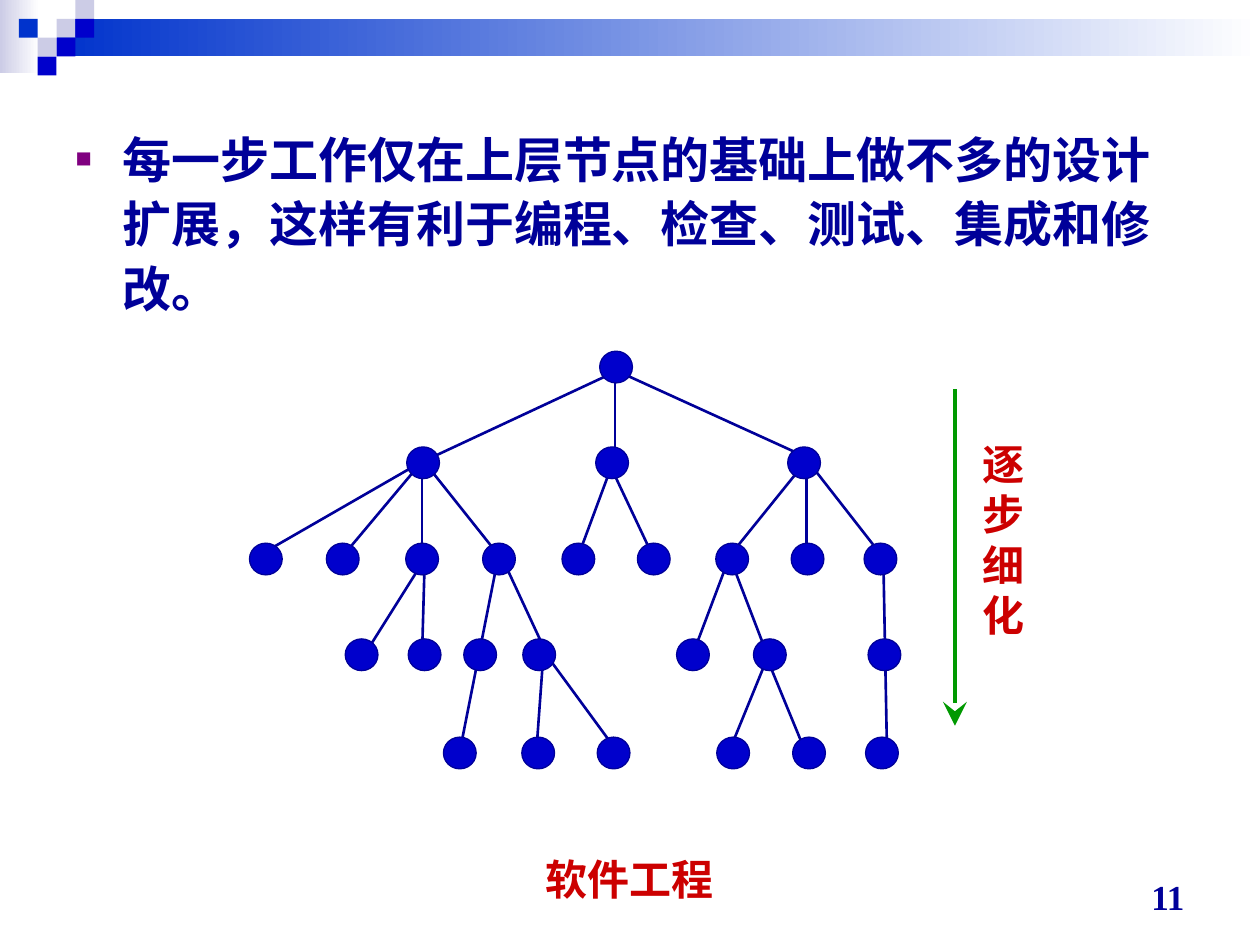
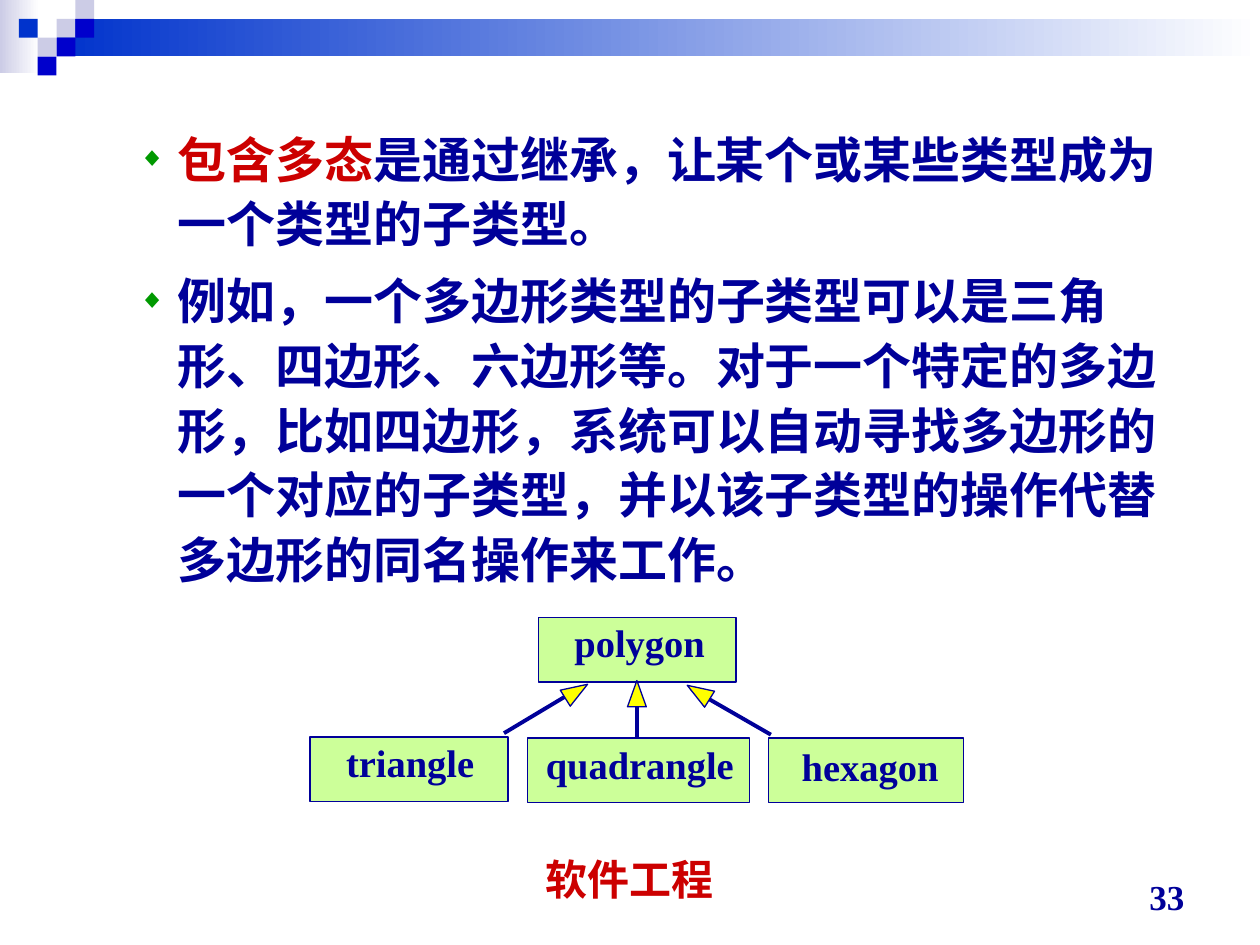
from lxml import etree
from pptx import Presentation
from pptx.dml.color import RGBColor
from pptx.enum import lang, shapes, text
from pptx.oxml.ns import qn
from pptx.util import Cm, Pt

NAVY = RGBColor(0x00, 0x00, 0x99)
BLUE = RGBColor(0x00, 0x00, 0xCC)
ROYAL = RGBColor(0x00, 0x33, 0xCC)
LILAC = RGBColor(0xCC, 0xCC, 0xE6)
WHITE = RGBColor(0xFF, 0xFF, 0xFF)
RED = RGBColor(0xCC, 0x00, 0x00)
GREEN = RGBColor(0x00, 0x99, 0x00)
PURPLE = RGBColor(0x80, 0x00, 0x80)
LIME = RGBColor(0xCC, 0xFF, 0x99)
YELLOW = RGBColor(0xFF, 0xFF, 0x00)

SERIF, SANS = "Times New Roman", "Arial"
KIND = shapes.MSO_SHAPE
ALIGN = text.PP_ALIGN
ANCHOR = text.MSO_ANCHOR

# Corner squares: column, row, colour
SQUARE = 0.38
CORNER = [(3, 1, LILAC), (4, 0, LILAC), (4, 1, BLUE), (2, 2, LILAC),
          (1, 1, ROYAL), (3, 2, BLUE), (2, 3, BLUE)]

# Tree nodes: centre y of each level, and the centre x of its nodes
NODES = {
    7.4: [12.42],
    9.33: [8.53, 12.34, 16.21],
    11.27: [5.36, 6.91, 8.51, 10.06, 11.66, 13.18, 14.76, 16.28, 17.75],
    13.2: [7.29, 8.56, 9.68, 10.87, 13.97, 15.52, 17.83],
    15.18: [9.27, 10.85, 12.37, 14.78, 16.31, 17.78],
}
NODE_W, NODE_H = 0.66, 0.64

# Tree branches: start and end
BRANCHES = [
    ((12.24, 7.57), (8.64, 9.25)), ((12.4, 7.57), (12.4, 9.32)),
    ((12.42, 7.47), (16.33, 9.25)),
    ((8.43, 9.35), (5.44, 11.07)), ((8.41, 9.42), (6.96, 11.15)),
    ((8.51, 9.42), (8.51, 11.33)), ((8.64, 9.42), (10.16, 11.33)),
    ((12.32, 9.42), (11.66, 11.2)), ((12.34, 9.47), (13.18, 11.25)),
    ((16.15, 9.42), (14.73, 11.18)), ((16.26, 9.42), (16.26, 11.4)),
    ((16.33, 9.35), (17.93, 11.4)),
    ((8.41, 11.51), (7.34, 13.21)), ((8.56, 11.35), (8.51, 13.13)),
    ((10.01, 11.4), (9.27, 15.14)), ((10.16, 11.33), (11.02, 13.18)),
    ((14.66, 11.35), (13.89, 13.39)), ((14.73, 11.28), (15.49, 13.26)),
    ((17.81, 11.43), (17.88, 15.11)),
    ((10.95, 13.26), (10.82, 15.04)), ((11.02, 13.21), (12.34, 15.01)),
    ((15.47, 13.26), (14.66, 15.24)), ((15.49, 13.34), (16.21, 15.09)),
]

# Class boxes: name, left, top, width, left and top inset of the name
TYPES = [("polygon", 10.85, 12.45, 3.99, 0.1, 0.03),
         ("triangle", 6.25, 14.86, 3.99, 0.05, 0.03),
         ("quadrangle", 10.64, 14.88, 4.47, 0.05, 0.05),
         ("hexagon", 15.49, 14.88, 3.94, 0.16, 0.09)]

# Inheritance arrows: line start, line end, head left and top, head turn
LINKS = [((12.85, 14.86), (12.85, 13.84), (12.65, 13.72), 0),
         ((10.16, 14.78), (11.73, 13.84), (11.43, 13.67), 58.1),
         ((15.54, 14.81), (13.94, 13.89), (13.89, 13.69), 301.9)]


def write(frame, *paras, size, color=NAVY, font=SERIF, align=ALIGN.LEFT,
          anchor=ANCHOR.TOP):
    """Fill a frame; each paragraph is a string or a list of (string, colour)."""
    frame.word_wrap = True
    frame.auto_size = text.MSO_AUTO_SIZE.NONE
    frame.vertical_anchor = anchor
    for i, para in enumerate(paras):
        line = frame.add_paragraph() if i else frame.paragraphs[0]
        line.alignment = align
        runs = [(para, color)] if isinstance(para, str) else para
        for words, tint in runs:
            run = line.add_run()
            run.text = words
            run.font.name, run.font.size, run.font.bold = font, Pt(size), True
            run.font.color.rgb = tint
            run.font.language_id = lang.MSO_LANGUAGE_ID.SIMPLIFIED_CHINESE


class Deck:
    def __init__(self):
        self.show = Presentation()
        self.show.slide_width, self.show.slide_height = Cm(25.4), Cm(19.05)
        self.page = None

    def start(self, number):
        """Add a slide with its bands, corner squares and footers."""
        self.page = self.show.slides.add_slide(self.show.slide_layouts[1])
        title = self.page.shapes.title.element
        title.getparent().remove(title)
        self.fade(0, 0, 0.79, 1.47, LILAC)
        self.fade(1.14, 0.38, 24.26, 0.76, ROYAL)
        for col, row, color in CORNER:
            self.shape(KIND.RECTANGLE, col * SQUARE, row * SQUARE,
                       SQUARE, SQUARE, color)
        self.label("软件工程", 8.67, 17.07, 8.05, 1.27, size=24, color=RED,
                   font=SANS, align=ALIGN.CENTER, anchor=ANCHOR.BOTTOM)
        self.label(number, 18.21, 17.35, 5.92, 1.27, size=20,
                   align=ALIGN.RIGHT, anchor=ANCHOR.BOTTOM)

    def shape(self, kind, x, y, w, h, fill, edge=None):
        item = self.page.shapes.add_shape(kind, Cm(x), Cm(y), Cm(w), Cm(h))
        item.shadow.inherit = False
        item.fill.solid()
        item.fill.fore_color.rgb = fill
        if edge is None:
            item.line.fill.background()
        else:
            item.line.color.rgb = edge
            item.line.width = Pt(0.75)
        return item

    def fade(self, x, y, w, h, color):
        """Add a band that fades to white on the right."""
        fill = self.shape(KIND.RECTANGLE, x, y, w, h, color).fill
        fill.gradient()
        fill.gradient_angle = 0
        for stop, tint in zip(fill.gradient_stops, (color, WHITE)):
            stop.color.rgb = tint

    def line(self, start, end, color=NAVY, width=1.5, head=None):
        item = self.page.shapes.add_connector(
            shapes.MSO_CONNECTOR.STRAIGHT, *map(Cm, (*start, *end)))
        item.line.color.rgb = color
        item.line.width = Pt(width)
        if head:
            etree.SubElement(item.line._get_or_add_ln(), qn("a:tailEnd"),
                             type=head, w="lg", len="lg")
        etree.SubElement(item.element.spPr, qn("a:effectLst"))

    def label(self, words, x, y, w, h, **style):
        box = self.page.shapes.add_textbox(Cm(x), Cm(y), Cm(w), Cm(h))
        write(box.text_frame, words, **style)

    def body(self, *paras, height, mark, tint, indent, hang, level=0):
        """Place the bulleted text in the body placeholder."""
        box = self.page.placeholders[1]
        box.left, box.top = Cm(1.27), Cm(2.36)
        box.width, box.height = Cm(22.86), Cm(height)
        write(box.text_frame, *paras, size=28)
        for para in box.text_frame.paragraphs:
            para.level = level
            para.line_spacing, para.space_before = 1.1, Pt(7)
            props = para._p.get_or_add_pPr()
            props.set("marL", str(Cm(indent)))
            props.set("indent", str(-Cm(hang)))
            props.set("hangingPunct", "0")
            color = etree.SubElement(props, qn("a:buClr"))
            etree.SubElement(color, qn("a:srgbClr"), val=str(tint))
            etree.SubElement(props, qn("a:buSzPct"), val="55000")
            etree.SubElement(props, qn("a:buFont"), typeface=SANS)
            etree.SubElement(props, qn("a:buChar"), char=mark)

    def tree(self):
        """Draw all branches first, so that the nodes cover their ends."""
        for start, end in BRANCHES:
            self.line(start, end)
        for y, level in NODES.items():
            for x in level:
                self.shape(KIND.OVAL, x - NODE_W / 2, y - NODE_H / 2,
                           NODE_W, NODE_H, BLUE, NAVY)

    def box(self, name, x, y, w, left, top):
        frame = self.shape(KIND.RECTANGLE, x, y, w, 1.3, LIME, NAVY).text_frame
        frame.margin_left, frame.margin_right = Cm(left), 0
        frame.margin_top = Cm(top)
        write(frame, name, size=22, align=ALIGN.CENTER)

    def link(self, start, end, head, turn):
        self.line(start, end, width=2.25)
        tip = self.shape(KIND.ISOSCELES_TRIANGLE, *head, 0.38, 0.53,
                         YELLOW, NAVY)
        tip.rotation = turn


def main():
    deck = Deck()

    deck.start("11")
    deck.body("每一步工作仅在上层节点的基础上做不多的设计扩展，"
              "这样有利于编程、检查、测试、集成和修改。",
              height=5.03, mark="■", tint=PURPLE, indent=0.95, hang=0.95)
    deck.tree()
    deck.line((19.25, 7.85), (19.25, 14.63), GREEN, 2.75, "stealth")
    deck.label("逐步细化", 19.56, 8.71, 1.73, 4.32, size=24, color=RED,
               font=SANS)

    deck.start("33")
    deck.body([("包含多态", RED),
               ("是通过继承，让某个或某些类型成为一个类型的子类型。", NAVY)],
              "例如，一个多边形类型的子类型可以是三角形、四边形、六边形等。"
              "对于一个特定的多边形，比如四边形，系统可以自动寻找多边形的"
              "一个对应的子类型，并以该子类型的操作代替多边形的同名操作来工作。",
              height=9.91, mark="◆", tint=GREEN, indent=2.06, hang=0.79,
              level=1)
    for kind in TYPES:
        deck.box(*kind)
    for link in LINKS:
        deck.link(*link)

    deck.show.save("out.pptx")


if __name__ == "__main__":
    main()
